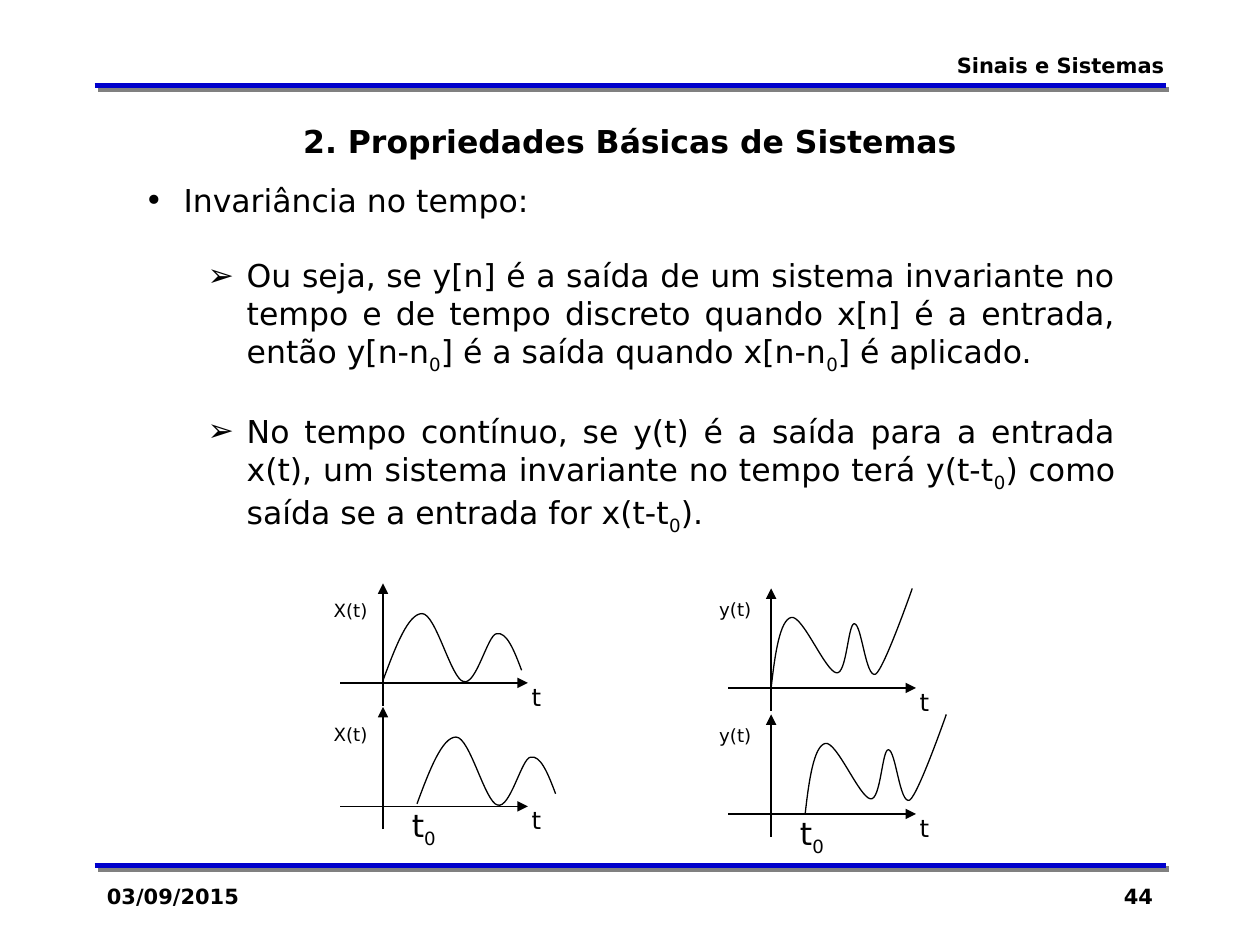
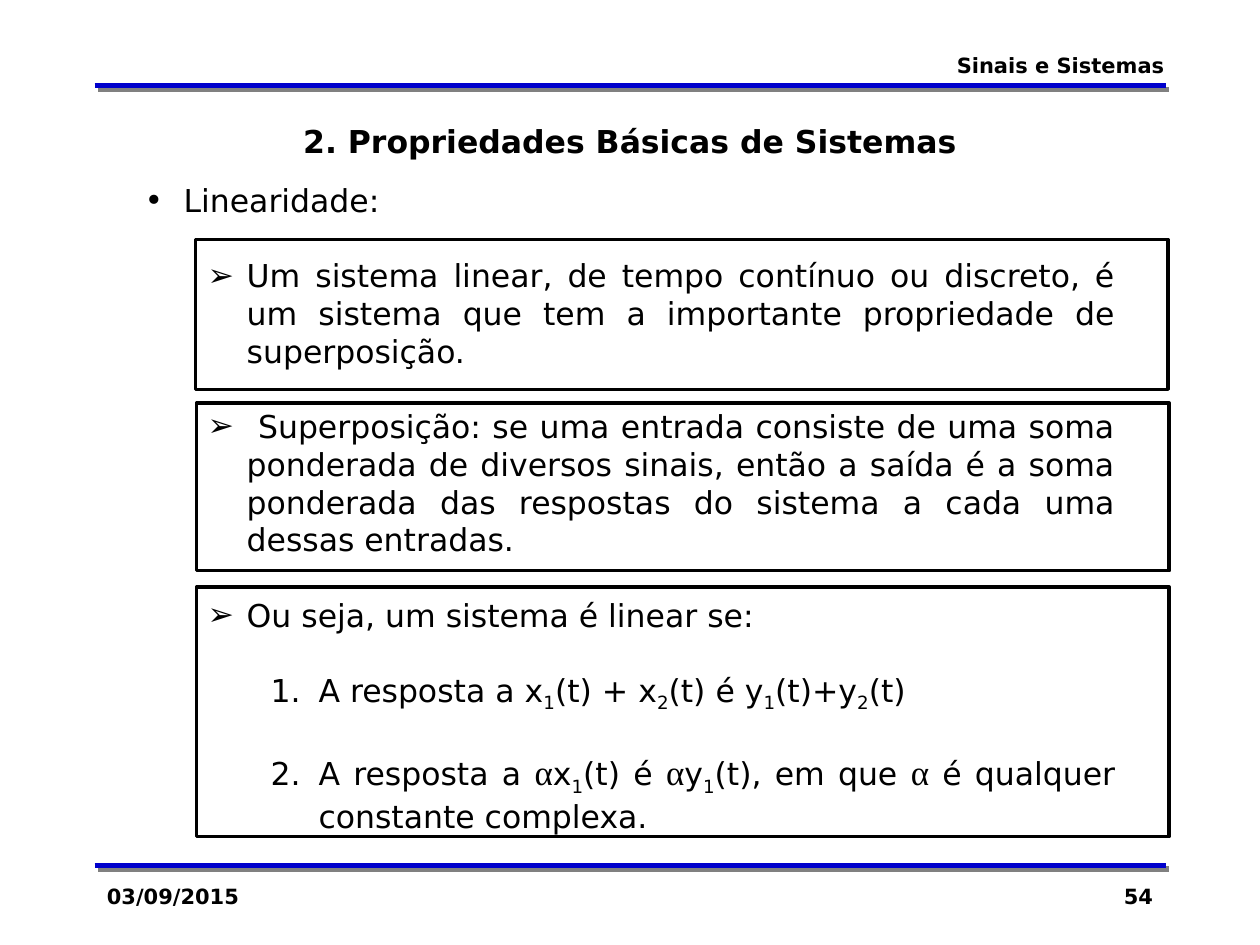
"""Builds two lecture slides on time invariance and linearity of systems."""
from dataclasses import dataclass
from itertools import groupby

from lxml import etree
from pptx import Presentation
from pptx import util as u
from pptx.dml.color import RGBColor
from pptx.enum import shapes, text
from pptx.oxml.ns import qn

PX = 9144
LEFT, CENTER, RIGHT, JUSTIFY = (
    text.PP_ALIGN.LEFT, text.PP_ALIGN.CENTER, text.PP_ALIGN.RIGHT, text.PP_ALIGN.JUSTIFY)


@dataclass(frozen=True)
class Theme:
    ink: str = "000000"
    paper: str = "FFFFFF"
    rule: str = "0000CC"
    rule_shadow: str = "808080"
    font: str = "DejaVu Sans"
    greek_font: str = "Times New Roman"
    small: int = 12
    body: int = 18
    greek: int = 20
    axis: int = 24
    gap: float = 21.3
    subscript: int = -25000
    thin: float = 0.75
    frame: int = 2
    thick: int = 3


LEVELS = (
    (23, -23, "buChar", {"char": "•"}),
    (81, -31, "buChar", {"char": "➢"}),
    (138, -38, "buAutoNum", {"type": "arabicPeriod"}),
)

X_CURVE = [(0, -2), (10, -29), (20, -55), (31, -55), (42, -55), (54, -3), (64, -1),
           (74, 2), (83, -38), (90, -39), (98, -41), (104, -26), (110, -10)]
Y_CURVE = [(0, 0), (3, -27), (7, -54), (16, -56), (25, -58), (43, -13), (52, -12),
           (60, -11), (61, -51), (66, -51), (72, -51), (75, -7), (83, -11),
           (90, -16), (112, -79), (112, -79)]
DELAY = 27


def write(para, content, theme, size=None, bold=False, align=LEFT):
    """Write text in which parts between bars are subscripts."""
    para.alignment = align
    for index, part in enumerate(content.split("|")):
        for is_greek, letters in groupby(part, lambda letter: letter == "α"):
            span = para.add_run()
            span.text = "".join(letters)
            span.font.name = theme.greek_font if is_greek else theme.font
            span.font.size = u.Pt(theme.greek if is_greek else size or theme.body)
            span.font.bold = bold
            span.font.color.rgb = RGBColor.from_string(theme.ink)
            if index % 2:
                span.font._rPr.set("baseline", str(theme.subscript))


class Painter:
    """Draws styled elements on the current slide."""

    def __init__(self, deck, theme):
        self.deck, self.theme, self.page = deck, theme, None

    def new_page(self, title, number):
        """Start a slide with the shared rules, header, title and footer."""
        theme = self.theme
        self.page = self.deck.slides.add_slide(self.deck.slide_layouts[6])
        for y in (687, 68):
            self.rule(y)
        small = {"size": theme.small, "bold": True}
        self.text(749, 37, 185, 30, "Sinais e Sistemas", wrap=False, align=RIGHT, **small)
        self.text(75, 696, 208, 50, "03/09/2015", grow=False, **small)
        self.text(717, 696, 208, 50, str(number), grow=False, align=RIGHT, **small)
        self.text(75, 92, 850, 40, title, bold=True, align=CENTER)

    def frame(self, left, top, width, height, wrap=True, grow=True):
        """Add an empty text box and return its text frame."""
        box = self.page.shapes.add_textbox(*(v * PX for v in (left, top, width, height)))
        box.text_frame.word_wrap = wrap
        if grow:
            box.text_frame.auto_size = text.MSO_AUTO_SIZE.SHAPE_TO_FIT_TEXT
        return box.text_frame

    def text(self, left, top, width, height, content, wrap=True, grow=True, **style):
        """Add a text box with one paragraph."""
        frame = self.frame(left, top, width, height, wrap, grow)
        write(frame.paragraphs[0], content, self.theme, **style)

    def outline(self, left, top, width, height, items):
        """Add a bulleted text from pairs of level and content."""
        frame = self.frame(left, top, width, height)
        for index, (level, content) in enumerate(items):
            para = frame.add_paragraph() if index else frame.paragraphs[0]
            para.level = level
            if index:
                para.space_before = u.Pt(self.theme.gap)
            margin, indent, tag, bullet = LEVELS[level]
            props = para._p.get_or_add_pPr()
            props.set("marL", str(margin * PX))
            props.set("indent", str(indent * PX))
            etree.SubElement(props, qn("a:buFont"), {"typeface": self.theme.font})
            etree.SubElement(props, qn("a:" + tag), bullet)
            write(para, content, self.theme, align=JUSTIFY)

    def stroke(self, shape, color, width):
        """Style the line of a shape or connector."""
        shape.line.color.rgb = RGBColor.from_string(color)
        shape.line.width = u.Pt(width)

    def line(self, start, end, color, width):
        """Add a straight line and return it with its empty effect list."""
        line = self.page.shapes.add_connector(
            shapes.MSO_CONNECTOR.STRAIGHT, *(v * PX for v in start + end))
        self.stroke(line, color, width)
        return line, etree.SubElement(line._element.spPr, qn("a:effectLst"))

    def rule(self, y):
        """Add a page rule with its hard shadow."""
        theme = self.theme
        effects = self.line((75, y), (925, y), theme.rule, theme.thick)[1]
        shadow = etree.SubElement(effects, qn("a:outerShdw"), {
            "dist": str(u.Pt(2.8)), "dir": str(45 * 60000), "algn": "ctr", "rotWithShape": "0"})
        etree.SubElement(shadow, qn("a:srgbClr"), {"val": theme.rule_shadow})

    def arrow(self, start, end):
        """Add a thin axis with an arrowhead at its end."""
        line = self.line(start, end, self.theme.ink, self.theme.thin)[0]
        etree.SubElement(line.line._get_or_add_ln(), qn("a:tailEnd"), {"type": "triangle"})

    def curve(self, x, y, knots):
        """Add a chain of cubic curves whose knots are relative to x, y."""
        points = [(x + dx, y + dy) for dx, dy in knots]
        builder = self.page.shapes.build_freeform(*points[0], scale=PX)
        builder.add_line_segments(points[1:], close=False)
        shape = builder.convert_to_shape()
        outline = next(shape._element.iter(qn("a:path")))
        segments = outline.findall(qn("a:lnTo"))
        for first in range(0, len(segments), 3):
            cubic = etree.SubElement(outline, qn("a:cubicBezTo"))
            for segment in segments[first:first + 3]:
                cubic.append(segment[0])
                outline.remove(segment)
        shape.fill.background()
        shape.shadow.inherit = False
        self.stroke(shape, self.theme.ink, self.theme.thin)

    def panel(self, left, top, width, height):
        """Add a framed white rectangle."""
        shape = self.page.shapes.add_shape(
            shapes.MSO_SHAPE.RECTANGLE, *(v * PX for v in (left, top, width, height)))
        shape.fill.solid()
        shape.fill.fore_color.rgb = RGBColor.from_string(self.theme.paper)
        shape.shadow.inherit = False
        self.stroke(shape, self.theme.ink, self.theme.frame)

    def plot(self, x, y, name, name_at, knots, delay=0):
        """Add a signal plot with its origin at x, y."""
        self.arrow((x, y + 18), (x, y - 79))
        self.arrow((x - 34, y), (x + 115, y))
        self.curve(x + delay, y, knots)
        dx, dy = name_at
        self.text(x + dx, y + dy, 54, 30, f"|{name}|", wrap=False)
        self.text(x + 108, y - 28, 29, 50, "|t|", wrap=False, size=self.theme.axis)
        if delay:
            self.text(x + 13, y - 5, 41, 40, "t|0|", wrap=False)


def main():
    """Build and save the deck."""
    deck = Presentation()
    deck.slide_width, deck.slide_height = 1000 * PX, 750 * PX
    painter = Painter(deck, Theme())
    title = "2. Propriedades Básicas de Sistemas"

    painter.new_page(title, 44)
    painter.outline(105, 139, 790, 313, [
        (0, " Invariância no tempo:"),
        (1, "Ou seja, se y[n] é a saída de um sistema invariante no tempo e de tempo discreto "
            "quando x[n] é a entrada, então y[n-n|0|] é a saída quando x[n-n|0|] é aplicado."),
        (1, "No tempo contínuo, se y(t) é a saída para a entrada x(t), um sistema invariante "
            "no tempo terá y(t-t|0|) como saída se a entrada for x(t-t|0|)."),
    ])
    for x, name, name_at, knots, baselines in (
            (304, "X(t)", (-49, -88), X_CURVE, (542, 640)),
            (612, "y(t)", (-51, -93), Y_CURVE, (546, 646))):
        for y, delay in zip(baselines, (0, DELAY)):
            painter.plot(x, y, name, name_at, knots, delay)

    painter.new_page(title, 54)
    for left, top, height in ((155, 190, 119), (156, 320, 133), (156, 466, 198)):
        painter.panel(left, top, 772, height)
    painter.outline(105, 139, 790, 525, [
        (0, " Linearidade:"),
        (1, "Um sistema linear, de tempo contínuo ou discreto, é um sistema que tem a "
            "importante propriedade de superposição."),
        (1, " Superposição: se uma entrada consiste de uma soma ponderada de diversos sinais, "
            "então a saída é a soma ponderada das respostas do sistema a cada uma dessas "
            "entradas."),
        (1, "Ou seja, um sistema é linear se:"),
        (2, "A resposta a x|1|(t) + x|2|(t) é y|1|(t)+y|2|(t)"),
        (2, "A resposta a αx|1|(t) é αy|1|(t), em que α é qualquer constante complexa."),
    ])
    deck.save("out.pptx")


if __name__ == "__main__":
    main()
